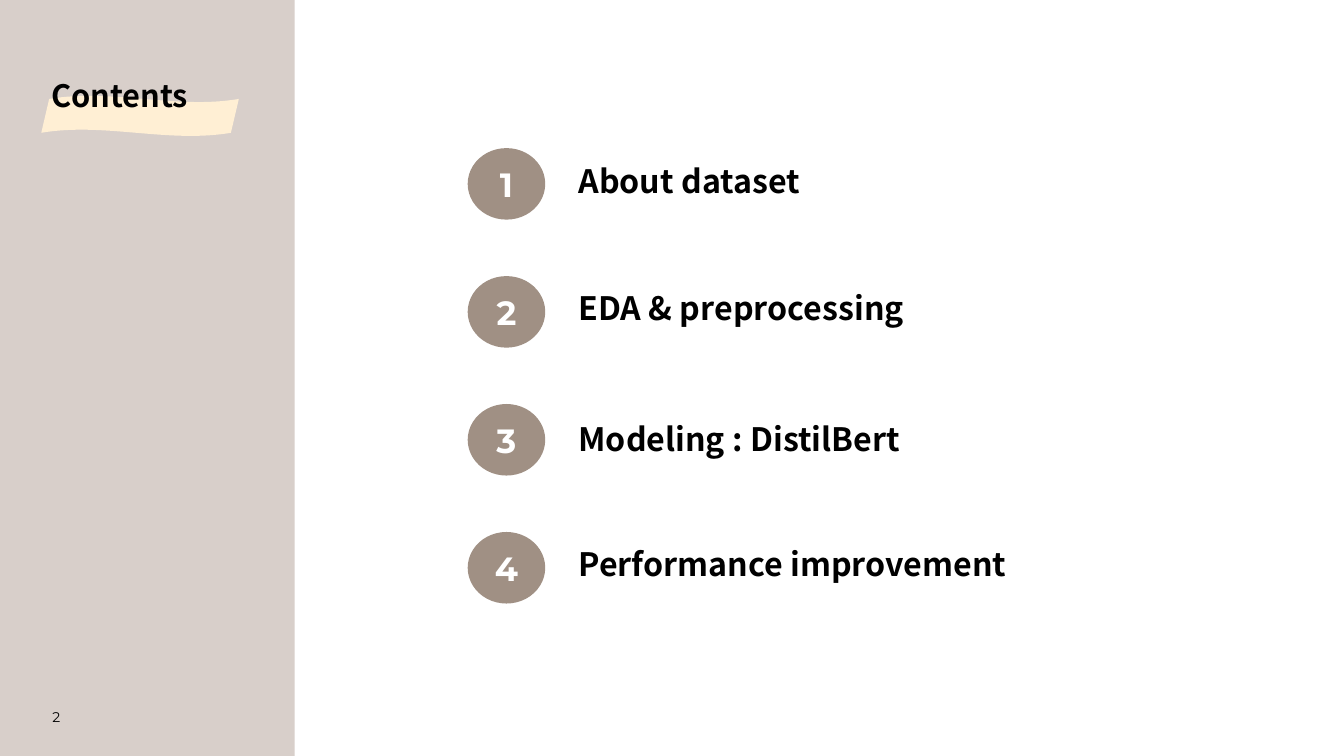
from dataclasses import dataclass

from pptx import Presentation
from pptx.dml.color import RGBColor
from pptx.enum.shapes import MSO_SHAPE
from pptx.enum.text import MSO_ANCHOR, MSO_AUTO_SIZE, PP_ALIGN
from pptx.util import Pt

RECTANGLE, WAVE, OVAL = MSO_SHAPE.RECTANGLE, MSO_SHAPE.WAVE, MSO_SHAPE.OVAL
TOP, MIDDLE = MSO_ANCHOR.TOP, MSO_ANCHOR.MIDDLE
LEFT, CENTER = PP_ALIGN.LEFT, PP_ALIGN.CENTER
NO_AUTOFIT = MSO_AUTO_SIZE.NONE
TITLE_ONLY = 5


@dataclass(frozen=True)
class Theme:
    sidebar: str = "D8CFCA"
    highlight: str = "FFEFD4"
    badge: str = "A09084"
    ink: str = "000000"
    white: str = "FFFFFF"
    heading_font: str = "Noto Sans CJK KR"
    number_font: str = "Montserrat"
    title_size: float = 22
    item_size: float = 23
    badge_size: float = 24
    page_size: float = 10


class SlideBuilder:
    def __init__(self, slide, theme):
        self.slide = slide
        self.theme = theme

    def set_text(self, shape, text, font, size, color, bold=True,
                 align=LEFT, anchor=TOP, wrap=True):
        frame = shape.text_frame
        frame.text = text
        frame.word_wrap = wrap
        frame.auto_size = NO_AUTOFIT
        frame.vertical_anchor = anchor
        paragraph = frame.paragraphs[0]
        paragraph.alignment = align
        paragraph.font.name = font
        paragraph.font.size = Pt(size)
        paragraph.font.bold = bold
        paragraph.font.color.rgb = RGBColor.from_string(color)

    def block(self, kind, left, top, width, height, color):
        shape = self.slide.shapes.add_shape(
            kind, Pt(left), Pt(top), Pt(width), Pt(height))
        shape.shadow.inherit = False
        shape.fill.solid()
        shape.fill.fore_color.rgb = RGBColor.from_string(color)
        shape.line.fill.background()
        return shape

    def title(self, text, left, top, width, height):
        heading = self.slide.shapes.title
        heading.left, heading.top = Pt(left), Pt(top)
        heading.width, heading.height = Pt(width), Pt(height)
        self.slide.shapes._spTree.append(heading._element)
        self.set_text(heading, text, self.theme.heading_font,
                      self.theme.title_size, self.theme.ink, anchor=MIDDLE)

    def label(self, text, left, top, width, height, font, size, **style):
        box = self.slide.shapes.add_textbox(
            Pt(left), Pt(top), Pt(width), Pt(height))
        self.set_text(box, text, font, size, self.theme.ink, **style)

    def badge(self, number, left, top, width, height):
        circle = self.block(OVAL, left, top, width, height, self.theme.badge)
        frame = circle.text_frame
        frame.margin_left = frame.margin_right = 0
        frame.margin_top = frame.margin_bottom = 0
        self.set_text(circle, str(number), self.theme.number_font,
                      self.theme.badge_size, self.theme.white,
                      align=CENTER, anchor=MIDDLE, wrap=False)


def main():
    deck = Presentation()
    deck.slide_width, deck.slide_height = Pt(960), Pt(540)
    theme = Theme()
    page = SlideBuilder(
        deck.slides.add_slide(deck.slide_layouts[TITLE_ONLY]), theme)

    page.block(RECTANGLE, 0, -2, 210.5, 542, theme.sidebar)
    brush_stroke = page.block(WAVE, 29.5, 68.4, 141.1, 28.8, theme.highlight)
    brush_stroke.adjustments[0] = 0.08
    brush_stroke.adjustments[1] = -0.02
    page.title("Contents", 29.5, 51.1, 152, 33.8)
    page.label("2", 19.4, 497.5, 41.8, 28.8, theme.number_font,
               theme.page_size, bold=False, align=CENTER, anchor=MIDDLE)

    contents = [
        ("About dataset", 111.6),
        ("EDA & preprocessing", 202.3),
        ("Modeling : DistilBert", 295.9),
        ("Performance improvement", 385.2),
    ]
    first_badge_top, row_pitch = 105.8, 91.4
    for row, (topic, topic_top) in enumerate(contents):
        page.badge(row + 1, 334.1, first_badge_top + row * row_pitch, 55.4, 51.1)
        page.label(topic, 406.1, topic_top, 415.4, 35.3,
                   theme.heading_font, theme.item_size)

    deck.save("out.pptx")


if __name__ == "__main__":
    main()
